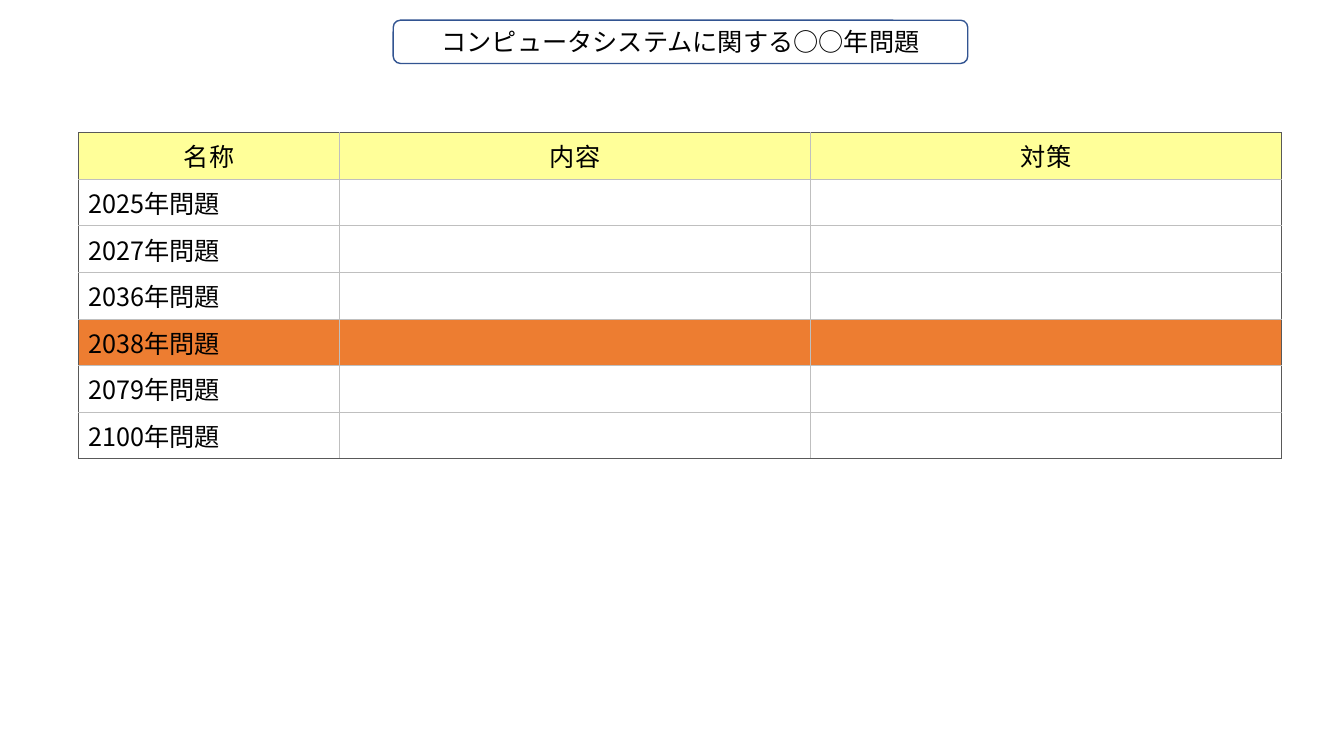
from lxml import etree
from pptx import Presentation
from pptx.dml.color import RGBColor
from pptx.enum.shapes import MSO_SHAPE
from pptx.enum.text import MSO_ANCHOR, MSO_AUTO_SIZE, PP_ALIGN
from pptx.oxml.ns import qn
from pptx.util import Cm, Pt

CENTER, LEFT = PP_ALIGN.CENTER, PP_ALIGN.LEFT
MIDDLE = MSO_ANCHOR.MIDDLE
NO_AUTOFIT = MSO_AUTO_SIZE.NONE
ROUNDED_RECTANGLE = MSO_SHAPE.ROUNDED_RECTANGLE
TITLE_ONLY = 5

FONT = "Noto Sans CJK JP"
COLORS = {
    "text": "000000",
    "title_line": "325491",
    "header": "FFFF99",
    "highlight": "ED7D31",
    "outer_border": "595959",
    "inner_border": "BFBFBF",
}

TITLE = "コンピュータシステムに関する○○年問題"
HEADERS = ["名称", "内容", "対策"]
YEARS = [2025, 2027, 2036, 2038, 2079, 2100]
HIGHLIGHT_YEAR = 2038
COLUMN_SHARES = [6.58, 11.87, 11.87]


def color(name):
    return RGBColor.from_string(COLORS[name])


def write_text(text_frame, text, alignment):
    paragraph = text_frame.paragraphs[0]
    paragraph.alignment = alignment
    run = paragraph.add_run()
    run.text = text
    run.font.size = Pt(18)
    run.font.name = FONT
    run.font.color.rgb = color("text")
    east_asian = etree.SubElement(run.font._element, qn("a:ea"))
    east_asian.set("typeface", FONT)


def add_border(cell, side, outer):
    name, width = ("outer_border", Pt(0.75)) if outer else ("inner_border", Pt(0.5))
    properties = cell._tc.get_or_add_tcPr()
    line = etree.SubElement(properties, qn(f"a:ln{side}"), w=str(width))
    fill = etree.SubElement(line, qn("a:solidFill"))
    etree.SubElement(fill, qn("a:srgbClr"), val=COLORS[name])


def build_title(slide, left, top, width, height):
    # Rounded frame around the title
    frame = slide.shapes.add_shape(ROUNDED_RECTANGLE, left, top, width, height)
    frame.shadow.inherit = False
    frame.fill.background()
    frame.line.color.rgb = color("title_line")
    frame.line.width = Pt(1)

    # Title text
    title = slide.shapes.title
    title.left, title.top, title.width, title.height = left, top, width, height
    text_frame = title.text_frame
    text_frame.word_wrap = True
    text_frame.auto_size = NO_AUTOFIT
    text_frame.vertical_anchor = MIDDLE
    write_text(text_frame, TITLE, CENTER)


def build_problem_table(slide, left, top, width, height):
    rows = [HEADERS] + [[f"{year}年問題", "", ""] for year in YEARS]
    last_row, last_column = len(rows) - 1, len(HEADERS) - 1
    highlight_row = YEARS.index(HIGHLIGHT_YEAR) + 1
    row_fills = {0: "header", highlight_row: "highlight"}

    frame = slide.shapes.add_table(len(rows), len(HEADERS), left, top, width, height)
    table = frame.table
    table.first_row = False
    table.horz_banding = False
    for column, share in zip(table.columns, COLUMN_SHARES):
        column.width = int(width * share / sum(COLUMN_SHARES))

    for row_index, row in enumerate(rows):
        for column_index, text in enumerate(row):
            cell = table.cell(row_index, column_index)

            # Dark frame around the table, light lines inside
            add_border(cell, "L", column_index == 0)
            add_border(cell, "R", column_index == last_column)
            add_border(cell, "T", row_index == 0)
            add_border(cell, "B", row_index == last_row)

            if row_index in row_fills:
                cell.fill.solid()
                cell.fill.fore_color.rgb = color(row_fills[row_index])
            else:
                cell.fill.background()
            if text:
                write_text(cell.text_frame, text, CENTER if row_index == 0 else LEFT)


def main():
    presentation = Presentation()
    presentation.slide_width = Cm(33.87)
    presentation.slide_height = Cm(19.05)
    slide = presentation.slides.add_slide(presentation.slide_layouts[TITLE_ONLY])
    build_title(slide, Cm(9.91), Cm(0.51), Cm(14.48), Cm(1.09))
    build_problem_table(slide, Cm(1.98), Cm(3.34), Cm(30.32), Cm(7.21))
    presentation.save("out.pptx")


if __name__ == "__main__":
    main()
